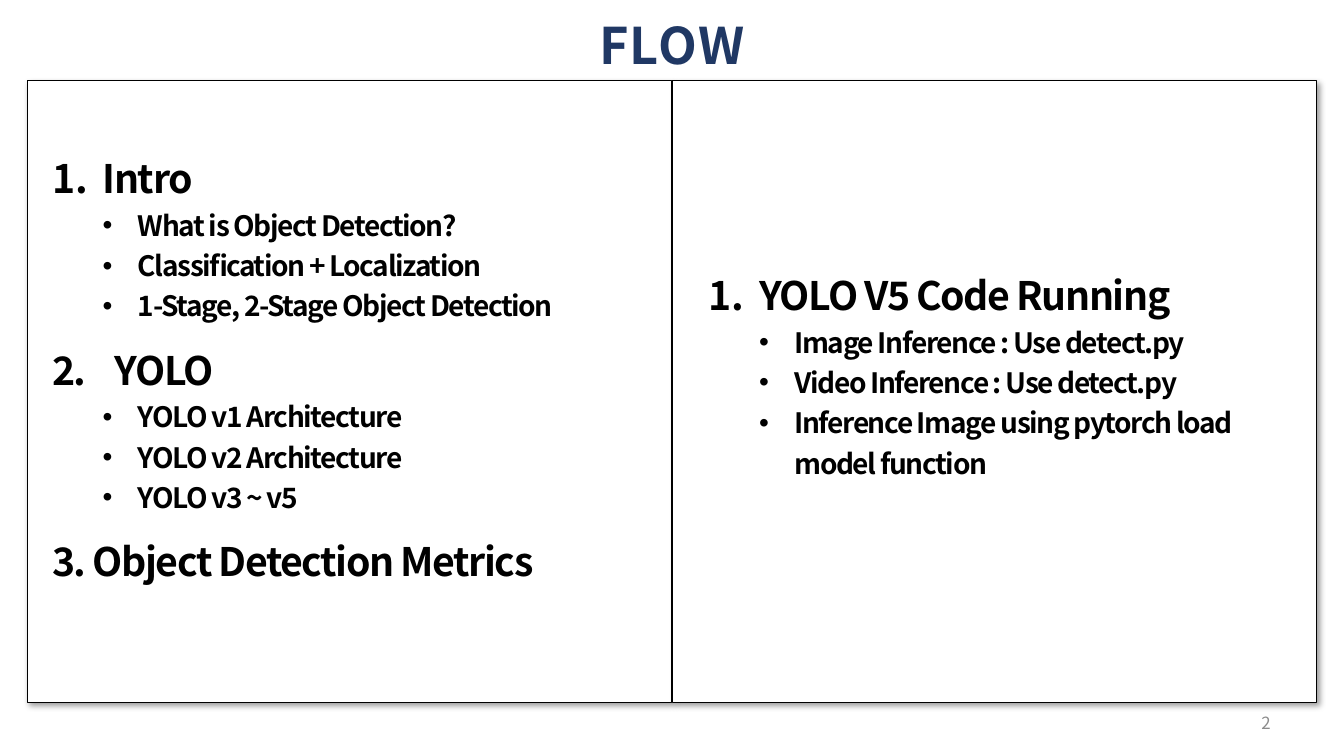
from lxml import etree
from pptx import Presentation
from pptx.dml.color import RGBColor
from pptx.enum.shapes import MSO_SHAPE
from pptx.enum.text import MSO_ANCHOR, MSO_AUTO_SIZE, PP_ALIGN
from pptx.oxml.ns import qn
from pptx.util import Inches, Pt

RECT = MSO_SHAPE.RECTANGLE
TOP, MIDDLE = MSO_ANCHOR.TOP, MSO_ANCHOR.MIDDLE
LEFT, CENTER, RIGHT = PP_ALIGN.LEFT, PP_ALIGN.CENTER, PP_ALIGN.RIGHT
GROW, FIXED = MSO_AUTO_SIZE.SHAPE_TO_FIT_TEXT, MSO_AUTO_SIZE.NONE

BLACK = RGBColor(0x00, 0x00, 0x00)
WHITE = RGBColor(0xFF, 0xFF, 0xFF)
NAVY = RGBColor(0x20, 0x38, 0x64)
GRAY = RGBColor(0x8C, 0x8C, 0x8C)

HEADING, NUMBERED, TABBED, BULLET = "heading", "numbered", "tabbed", "bullet"

LEFT_TOPICS = [
    (NUMBERED, "Intro"),
    (BULLET, "What is Object Detection?"),
    (BULLET, "Classification + Localization"),
    (BULLET, "1-Stage, 2-Stage Object Detection"),
    (TABBED, "2.\tYOLO"),
    (BULLET, "YOLO v1 Architecture"),
    (BULLET, "YOLO v2 Architecture"),
    (BULLET, "YOLO v3 ~ v5"),
    (HEADING, "3. Object Detection Metrics"),
]
RIGHT_TOPICS = [
    (NUMBERED, "YOLO V5 Code Running"),
    (BULLET, "Image Inference : Use detect.py"),
    (BULLET, "Video Inference : Use detect.py"),
    (BULLET, "Inference Image using pytorch load model function"),
]


def add_xml(parent, tag, **attrs):
    return etree.SubElement(parent, qn(tag), {k: str(v) for k, v in attrs.items()})


class Deck:
    font = "Noto Sans CJK KR"

    def __init__(self):
        self.prs = Presentation()
        self.prs.slide_width = Inches(13.33)
        self.prs.slide_height = Inches(7.5)
        self.s = self.prs.slides.add_slide(self.prs.slide_layouts[5])

    def box(self, x, y, w, h):
        across, down = self.prs.slide_width / 100, self.prs.slide_height / 100
        return int(x * across), int(y * down), int(w * across), int(h * down)

    def format(self, p, size, color, bold=True, spacing=0):
        for r in p.runs:
            r.font.name = self.font
            r.font.size = Pt(size)
            r.font.bold = bold
            r.font.color.rgb = color
            if spacing:
                r.font._element.set("spc", str(spacing * 100))

    def frame(self, sp, auto_size, anchor=TOP):
        tf = sp.text_frame
        tf.word_wrap = True
        tf.auto_size = auto_size
        tf.vertical_anchor = anchor
        return tf

    def title(self, text, *area):
        sp = self.s.shapes.title
        sp.left, sp.top, sp.width, sp.height = self.box(*area)
        tf = self.frame(sp, GROW)
        tf.text = text
        p = tf.paragraphs[0]
        p.alignment = CENTER
        self.format(p, 36, NAVY, spacing=1)

    def panel(self, *area):
        sp = self.s.shapes.add_shape(RECT, *self.box(*area))
        sp.fill.solid()
        sp.fill.fore_color.rgb = WHITE
        sp.line.color.rgb = BLACK
        sp.line.width = Pt(1)
        sp.shadow.inherit = False
        effects = sp._element.spPr.find(qn("a:effectLst"))
        shadow = add_xml(effects, "a:outerShdw", blurRad=Pt(4), dist=Pt(3),
                         dir=45 * 60000, algn="tl", rotWithShape=0)
        add_xml(add_xml(shadow, "a:srgbClr", val=BLACK), "a:alpha", val=40000)

    def marker(self, p, kind):
        pPr = p._p.get_or_add_pPr()
        if kind == BULLET:
            pPr.set("lvl", "1")
        if kind in (NUMBERED, BULLET):
            margin, hang = (0.85, 0.35) if kind == BULLET else (0.5, 0.5)
            pPr.set("marL", str(Inches(margin)))
            pPr.set("indent", str(-Inches(hang)))
        if kind == NUMBERED:
            add_xml(pPr, "a:buFont", typeface="+mj-lt")
            add_xml(pPr, "a:buAutoNum", type="arabicPeriod")
        elif kind == BULLET:
            add_xml(pPr, "a:buFont", typeface="Arial")
            add_xml(pPr, "a:buChar", char="•")
        elif kind == TABBED:
            tabs = add_xml(pPr, "a:tabLst")
            add_xml(tabs, "a:tab", pos=Inches(0.62), algn="l")

    def outline(self, topics, *area):
        tf = self.frame(self.s.shapes.add_textbox(*self.box(*area)), GROW)
        for i, (kind, text) in enumerate(topics):
            p = tf.add_paragraph() if i else tf.paragraphs[0]
            p.text = text
            self.marker(p, kind)
            p.alignment = LEFT
            p.line_spacing = 1.2 if kind == BULLET else 1.5
            self.format(p, 20 if kind == BULLET else 28, BLACK, spacing=-1)

    def page_number(self, text, *area):
        sp = self.s.shapes.add_textbox(*self.box(*area))
        tf = self.frame(sp, FIXED, MIDDLE)
        tf.text = text
        p = tf.paragraphs[0]
        p.alignment = RIGHT
        self.format(p, 12, GRAY, bold=False)


def main():
    deck = Deck()
    for column in range(2):
        deck.panel(2.03 + column * 48, 10.67, 47.94, 82.27)
    deck.outline(LEFT_TOPICS, 3.15, 16.67, 49.74, 70.13)
    deck.title("FLOW", 38.41, 1.2, 23.18, 9.47)
    deck.outline(RIGHT_TOPICS, 51.99, 32.13, 44.04, 31.87)
    deck.page_number("2", 72.77, 92.93, 22.51, 5.33)
    deck.prs.save("out.pptx")


if __name__ == "__main__":
    main()
